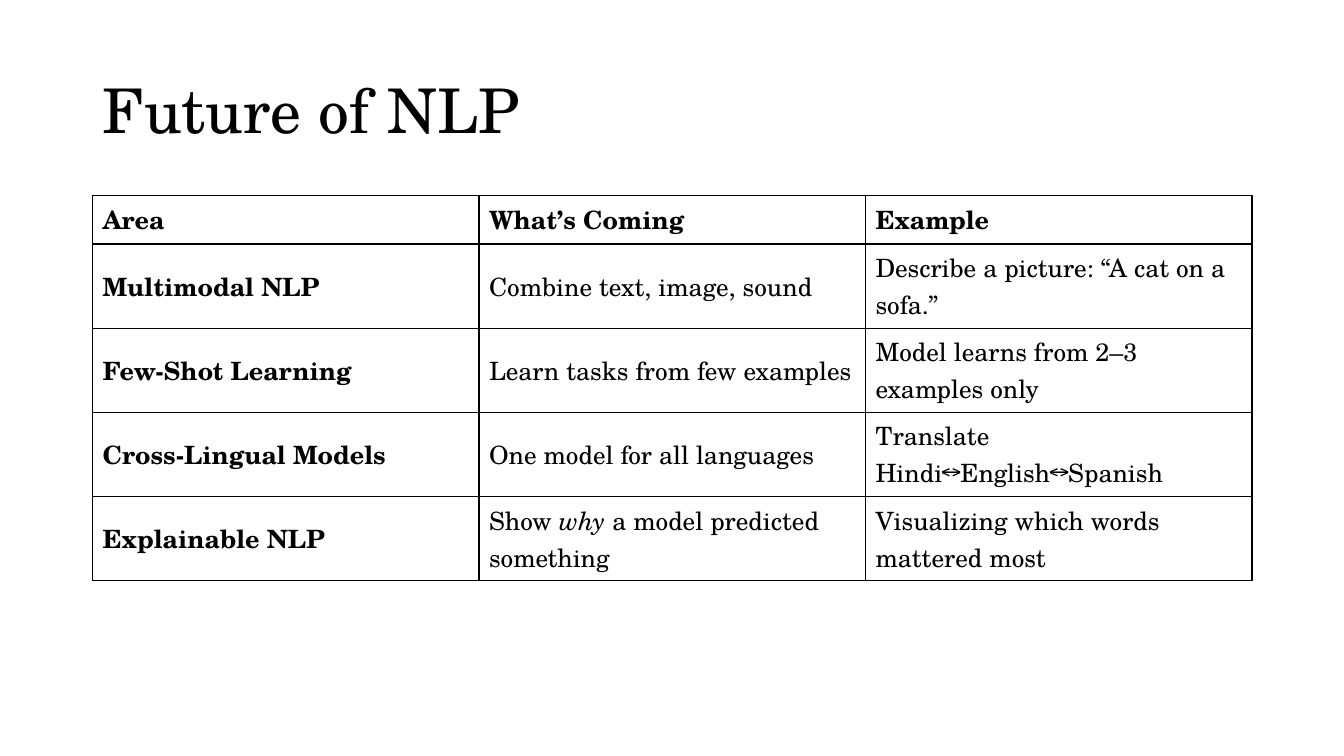
from lxml import etree
from pptx import Presentation, util as u
from pptx.dml.color import RGBColor
from pptx.enum import text
from pptx.oxml.ns import qn


def rgb(value):
    return RGBColor.from_string(value)


class Deck:
    FONT = "TeX Gyre Schola"
    INK = "000000"
    PAPER = "FFFFFF"

    def __init__(self, width, height):
        self.prs = Presentation()
        self.prs.slide_width, self.prs.slide_height = u.Cm(width), u.Cm(height)
        self.s = self.prs.slides.add_slide(self.prs.slide_layouts[6])

    def run(self, p, wording, size, bold=False, italic=False):
        r = p.add_run()
        r.text = wording
        font = r.font
        font.name, font.size = self.FONT, u.Pt(size)
        font.bold, font.italic = bold, italic
        font.color.rgb = rgb(self.INK)

    def title(self, wording, x, y, w, h):
        tf = self.s.shapes.add_textbox(u.Cm(x), u.Cm(y), u.Cm(w), u.Cm(h)).text_frame
        tf.word_wrap = True
        tf.vertical_anchor = text.MSO_ANCHOR.MIDDLE
        p = tf.paragraphs[0]
        p.line_spacing = 0.9
        self.run(p, wording, 44)

    def borders(self, cell):
        """Draw a thin line on all four sides of the cell."""
        tc_pr = cell._tc.get_or_add_tcPr()
        for i, side in enumerate(("lnL", "lnR", "lnT", "lnB")):
            ln = etree.Element(qn("a:" + side), w=str(u.Pt(1)))
            fill = etree.SubElement(ln, qn("a:solidFill"))
            etree.SubElement(fill, qn("a:srgbClr"), val=self.INK)
            tc_pr.insert(i, ln)

    def table(self, rows, x, y, col_width, head_height, row_height):
        """Fill a grid; each cell is a list of (wording, italic) or a string."""
        n_cols = len(rows[0])
        height = head_height + row_height * (len(rows) - 1)
        table = self.s.shapes.add_table(
            len(rows), n_cols, u.Cm(x), u.Cm(y),
            u.Cm(col_width * n_cols), u.Cm(height)).table
        table.horz_banding = False
        for col in table.columns:
            col.width = u.Cm(col_width)
        for i, row in enumerate(rows):
            table.rows[i].height = u.Cm(row_height if i else head_height)
            for j, content in enumerate(row):
                cell = table.cell(i, j)
                cell.vertical_anchor = text.MSO_ANCHOR.MIDDLE
                cell.fill.solid()
                cell.fill.fore_color.rgb = rgb(self.PAPER)
                self.borders(cell)
                runs = [(content, False)] if isinstance(content, str) else content
                for wording, italic in runs:
                    self.run(cell.text_frame.paragraphs[0], wording, 18,
                             bold=i == 0 or j == 0, italic=italic)


AREAS = [
    ["Area", "What’s Coming", "Example"],
    ["Multimodal NLP", "Combine text, image, sound",
     "Describe a picture: “A cat on a sofa.”"],
    ["Few-Shot Learning", "Learn tasks from few examples",
     "Model learns from 2–3 examples only"],
    ["Cross-Lingual Models", "One model for all languages",
     "Translate Hindi↔English↔Spanish"],
    ["Explainable NLP",
     [("Show ", False), ("why", True), (" a model predicted something", False)],
     "Visualizing which words mattered most"],
]


def main():
    deck = Deck(33.87, 19.05)
    deck.title("Future of NLP", 2.33, 1.01, 29.21, 3.68)
    deck.table(AREAS, 2.33, 4.92, col_width=9.74, head_height=1.23, row_height=2.12)
    deck.prs.save("out.pptx")


if __name__ == "__main__":
    main()
